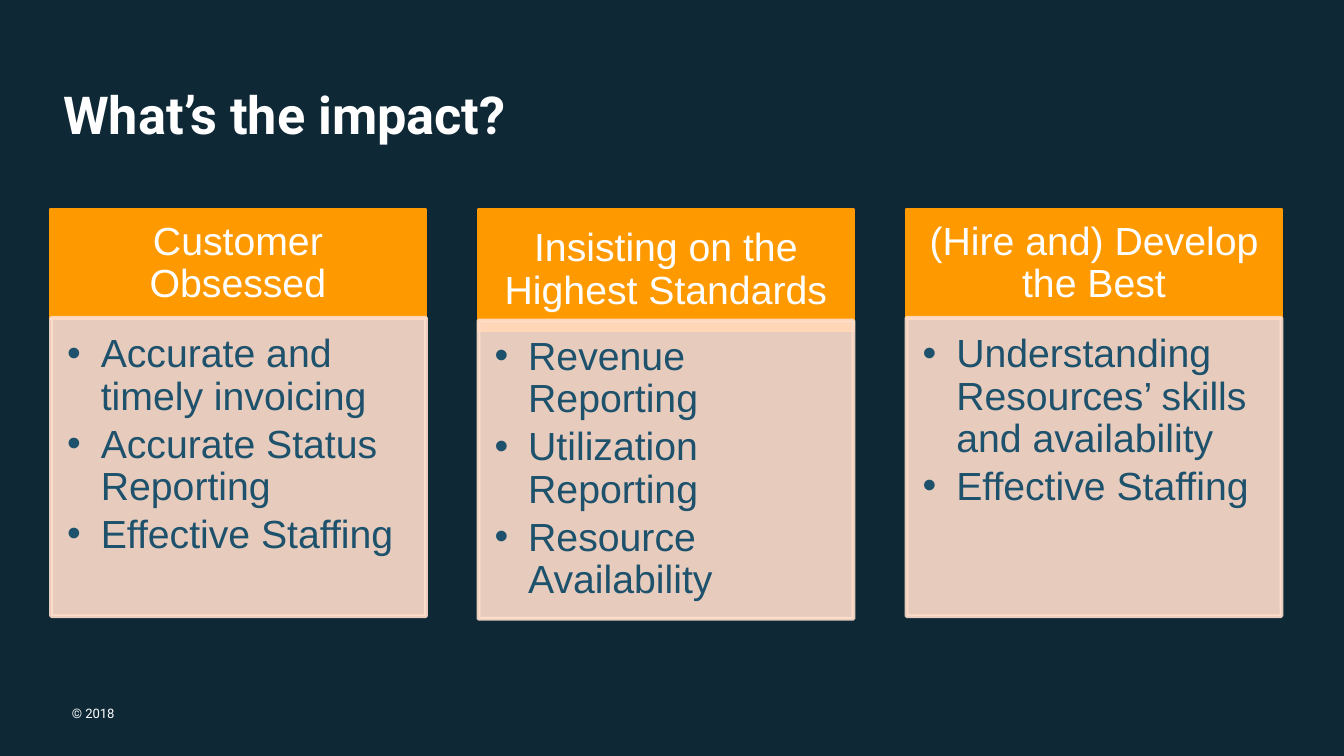
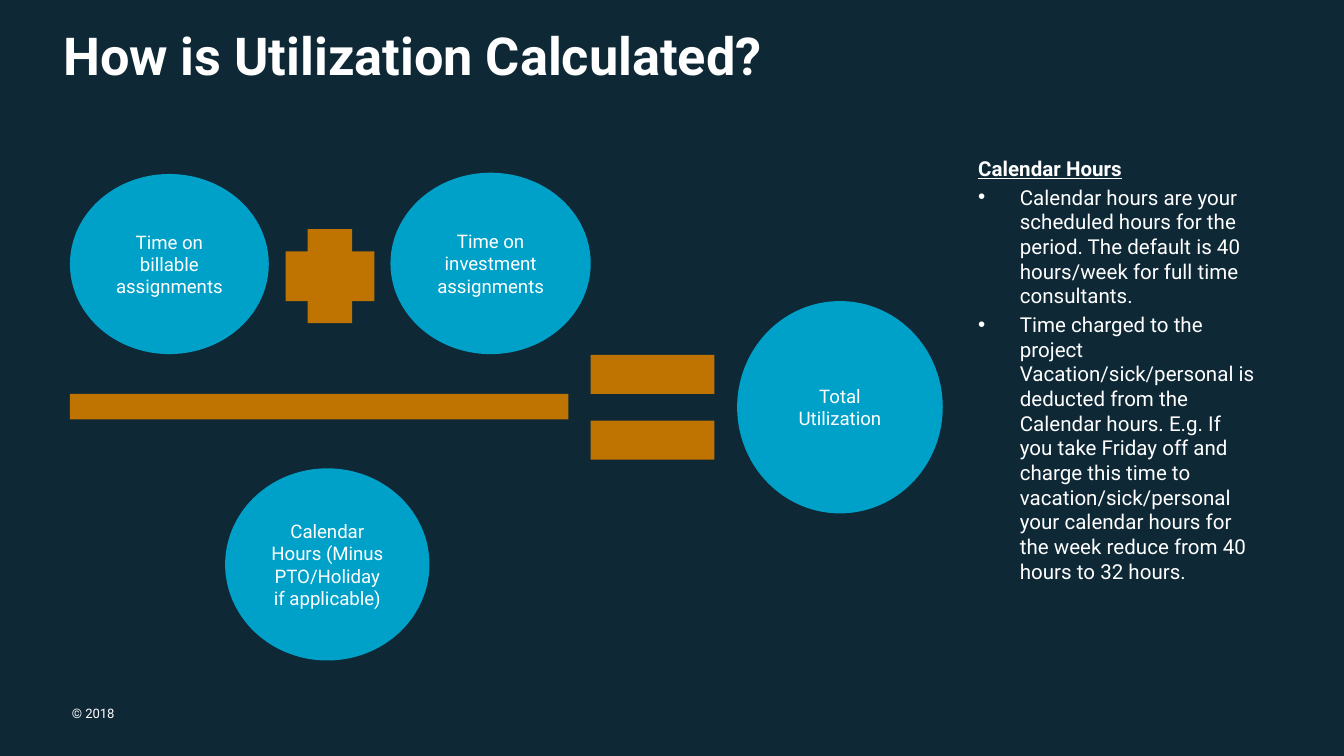
from dataclasses import dataclass

from lxml import etree
from pptx import Presentation
from pptx.dml.color import RGBColor
from pptx.enum.shapes import MSO_SHAPE
from pptx.enum.text import MSO_ANCHOR, MSO_AUTO_SIZE, PP_ALIGN
from pptx.oxml.ns import qn
from pptx.util import Emu, Pt

RECT, OVAL, CROSS = MSO_SHAPE.RECTANGLE, MSO_SHAPE.OVAL, MSO_SHAPE.CROSS
TOP, MIDDLE = MSO_ANCHOR.TOP, MSO_ANCHOR.MIDDLE
LEFT, CENTER = PP_ALIGN.LEFT, PP_ALIGN.CENTER
NO_FIT = MSO_AUTO_SIZE.NONE

SCALE = 4572  # EMU in one px, 200 px to the inch
WIDE, HIGH = 2000, 1125
NAVY, WHITE, ORANGE, PEACH = "0E2836", "FFFFFF", "FF9900", "FFDECC"
TEAL, BLUE, AMBER = "1D516C", "00A1C9", "BF7300"
SANS, BODY = "Arial", "Roboto"
PADS = (20, 10, 20, 10)


@dataclass(frozen=True)
class Box:
    x: int
    y: int
    w: int
    h: int

    def emu(self) -> list[Emu]:
        return [px(n) for n in (self.x, self.y, self.w, self.h)]


@dataclass(frozen=True)
class Style:
    font: str
    size: int
    color: str = WHITE
    bold: bool = False
    under: bool = False


@dataclass(frozen=True)
class Card:
    head: str
    items: tuple[str, ...]
    head_box: Box
    list_box: Box


@dataclass(frozen=True)
class Disc:
    text: str
    box: Box


TITLE = Style(BODY, 28, bold=True)
FOOT = Style(BODY, 7)
HEAD = Style(SANS, 21)
ITEM = Style(SANS, 21, TEAL)
LABEL = Style(BODY, 10)
NOTE = Style(BODY, 11)
NOTE_HEAD = Style(BODY, 11, bold=True, under=True)

CARDS = (
    Card("Customer Obsessed",
         ("Accurate and timely invoicing", "Accurate Status Reporting",
          "Effective Staffing"),
         Box(75, 312, 558, 161), Box(76, 473, 558, 444)),
    Card("Insisting on the Highest Standards",
         ("Revenue Reporting", "Utilization Reporting",
          "Resource Availability"),
         Box(712, 313, 558, 178), Box(712, 477, 558, 444)),
    Card("(Hire and) Develop the Best",
         ("Understanding Resources’ skills and availability",
          "Effective Staffing"),
         Box(349 + 1000, 312, 558, 161), Box(349 + 1000, 473, 558, 444)),
)
DISCS = (
    Disc("Time on billable assignments", Box(104, 259, 296, 268)),
    Disc("Time on investment assignments", Box(581, 257, 298, 270)),
    Disc("Total Utilization", Box(1097, 448, 306, 316)),
    Disc("Calendar Hours (Minus PTO/Holiday if applicable)",
         Box(335, 697, 304, 286)),
)
PLUS = Box(425, 341, 132, 140)
DIVIDE = Box(104, 586, 742, 38)
EQUALS = tuple(Box(879, y, 184, 58) for y in (528, 626))
NOTES = (
    "Calendar hours are your scheduled hours for the period. "
    "The default is 40 hours/week for full time consultants.",
    "Time charged to the project Vacation/sick/personal is deducted from the "
    "Calendar hours. E.g. If you take Friday off and charge this time to "
    "vacation/sick/personal your calendar hours for the week reduce from 40 "
    "hours to 32 hours.",
)


def px(n: int) -> Emu:
    return Emu(n * SCALE)


def rgb(code: str) -> RGBColor:
    return RGBColor.from_string(code)


def set_frame(frame, anchor, pads=PADS) -> None:
    """Set wrapping, anchor and the left, top, right and bottom insets."""
    frame.word_wrap = True
    frame.auto_size = NO_FIT
    frame.vertical_anchor = anchor
    (frame.margin_left, frame.margin_top,
     frame.margin_right, frame.margin_bottom) = map(px, pads)


def add_run(para, text: str, style: Style) -> None:
    run = para.add_run()
    run.text = text
    font = run.font
    font.name, font.size = style.font, Pt(style.size)
    font.bold, font.underline = style.bold, style.under
    font.color.rgb = rgb(style.color)


def add_para(frame, text: str, style: Style, align=LEFT, indent: int = 0,
             spacing: float = 1.0, before: float = 0, after: float = 0) -> None:
    """Fill the first paragraph or add one; an indent brings a bullet."""
    first = frame.paragraphs[0]
    para = frame.add_paragraph() if first.runs else first
    para.alignment, para.line_spacing = align, spacing
    para.space_before, para.space_after = Pt(before), Pt(after)
    if indent:
        props = para._p.get_or_add_pPr()
        props.set("marL", str(px(indent)))
        props.set("indent", str(px(-indent)))
        etree.SubElement(props, qn("a:buFont")).set("typeface", SANS)
        etree.SubElement(props, qn("a:buChar")).set("char", "•")
    add_run(para, text, style)


def add_block(slide, kind, box: Box, color: str, edge: bool = False):
    shape = slide.shapes.add_shape(kind, *box.emu())
    shape.shadow.inherit = False
    shape.fill.solid()
    shape.fill.fore_color.rgb = rgb(color)
    if edge:
        shape.line.color.rgb = rgb(color)
        shape.line.width = Pt(2)
    else:
        shape.line.fill.background()
    return shape


def fade(shape, part: int) -> None:
    """Give fill and line an opacity in percent."""
    for tone in shape.element.spPr.iter(qn("a:srgbClr")):
        etree.SubElement(tone, qn("a:alpha")).set("val", str(part * 1000))


def add_text(slide, box: Box, pads=PADS):
    frame = slide.shapes.add_textbox(*box.emu()).text_frame
    set_frame(frame, TOP, pads)
    return frame


def add_slide(deck, text: str, box: Box):
    """Add a slide with its title and the shared footer."""
    slide = deck.slides.add_slide(deck.slide_layouts[5])
    title = slide.shapes.title
    title.left, title.top, title.width, title.height = box.emu()
    set_frame(title.text_frame, TOP)
    add_para(title.text_frame, text, TITLE)
    foot = add_text(slide, Box(107, 1050, 662, 24), (0, 0, 0, 0))
    add_para(foot, "© 2018", FOOT)
    return slide


def add_card(slide, card: Card) -> None:
    head = add_block(slide, RECT, card.head_box, ORANGE, edge=True)
    set_frame(head.text_frame, MIDDLE, (32, 18, 32, 18))
    add_para(head.text_frame, card.head, HEAD, CENTER, spacing=0.9)
    body = add_block(slide, RECT, card.list_box, PEACH, edge=True)
    fade(body, 90)
    set_frame(body.text_frame, TOP, (24, 24, 32, 36))
    for item in card.items:
        add_para(body.text_frame, item, ITEM, indent=50, spacing=0.9, after=3)


def add_disc(slide, disc: Disc) -> None:
    frame = add_block(slide, OVAL, disc.box, BLUE).text_frame
    set_frame(frame, MIDDLE)
    add_para(frame, disc.text, LABEL, CENTER)


def draw_impact(deck) -> None:
    slide = add_slide(deck, "What’s the impact?", Box(74, 112, 1708, 120))
    for card in CARDS:
        add_card(slide, card)


def draw_formula(deck) -> None:
    slide = add_slide(deck, "How is Utilization Calculated?",
                      Box(74, 25, 1794, 120))
    notes = add_text(slide, Box(1436, 222, 456, 760))
    add_para(notes, "Calendar Hours", NOTE_HEAD, before=2.2)
    for note in NOTES:
        add_para(notes, note, NOTE, indent=62, before=2.2)
    for disc in DISCS:
        add_disc(slide, disc)
    add_block(slide, CROSS, PLUS, AMBER)
    for bar in (DIVIDE, *EQUALS):
        add_block(slide, RECT, bar, AMBER)


def main() -> None:
    deck = Presentation()
    deck.slide_width, deck.slide_height = px(WIDE), px(HIGH)
    back = deck.slide_master.background.fill
    back.solid()
    back.fore_color.rgb = rgb(NAVY)
    draw_impact(deck)
    draw_formula(deck)
    deck.save("out.pptx")


if __name__ == "__main__":
    main()
